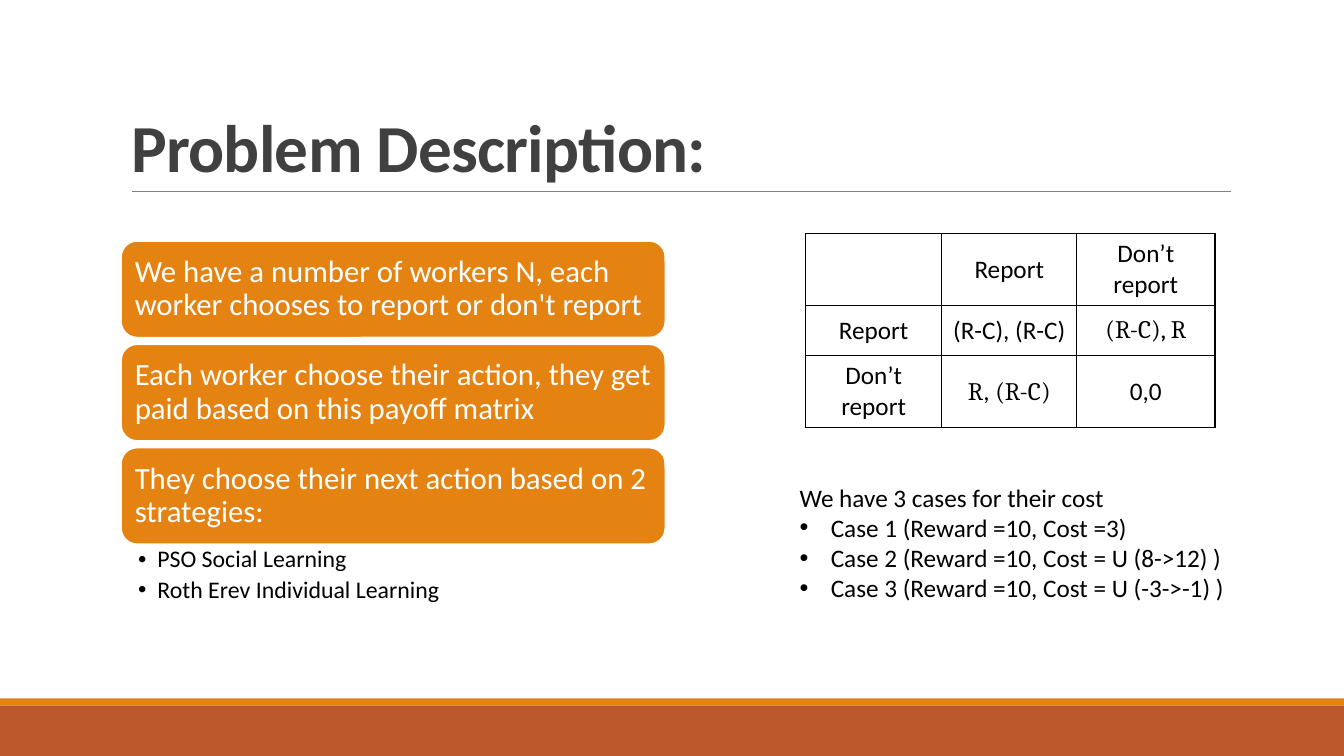
from lxml.etree import SubElement
from pptx import Presentation
from pptx.dml.color import RGBColor
from pptx.enum.shapes import MSO_CONNECTOR as Connector, MSO_SHAPE as Shape
from pptx.enum.text import MSO_ANCHOR as Anchor, MSO_AUTO_SIZE as AutoSize, PP_ALIGN as Align
from pptx.oxml.ns import qn
from pptx.util import Inches, Pt

ORANGE, RUST, BLACK, WHITE = "E48312", "BD582C", "000000", "FFFFFF"
STATEMENTS = [
    "We have a number of workers N, each worker chooses to report or don't report",
    "Each worker choose their action, they get paid based on this payoff matrix",
    "They choose their next action based on 2 strategies:",
]
STRATEGIES = ["PSO Social Learning", "Roth Erev Individual Learning"]
CASES = [
    "Case 1 (Reward =10, Cost =3)",
    "Case 2 (Reward =10, Cost = U (8->12) )",
    "Case 3 (Reward =10, Cost = U (-3->-1) )",
]
SANS, SERIF = "Calibri", "Cambria"
PAYOFFS = [
    [[], [("Report", SANS)], [("Don’t report", SANS)]],
    [[("Report", SANS)], [("(R-C), (R-C)", SANS)], [("(R-C), R", SERIF)]],
    [[("Don’t report", SANS)], [("R", SERIF), (", ", SANS), ("(R-C)", SERIF)], [("0,0", SANS)]],
]


def paint(target, color):
    """Give a fill a solid hex colour."""
    target.solid()
    target.fore_color.rgb = RGBColor.from_string(color)


def set_font(font, size, color, name=SANS):
    """Set the face, size and colour of a font."""
    font.name, font.size = name, Pt(size)
    font.color.rgb = RGBColor.from_string(color)


def place(shape, left, top, width, height):
    """Move and size a shape, in inches."""
    shape.left, shape.top = Inches(left), Inches(top)
    shape.width, shape.height = Inches(width), Inches(height)


def set_insets(frame, side, end):
    """Set the side and the top and bottom insets of a text frame."""
    frame.margin_left = frame.margin_right = Inches(side)
    frame.margin_top = frame.margin_bottom = Inches(end)


def set_bullet(para, indent):
    """Give a paragraph a hanging round bullet, or none when the indent is zero."""
    props = para._p.get_or_add_pPr()
    props.set("marL", str(Inches(indent)))
    props.set("indent", str(-Inches(indent)))
    if indent:
        SubElement(props, qn("a:buFont"), typeface="Arial")
        SubElement(props, qn("a:buChar"), char="•")
    else:
        SubElement(props, qn("a:buNone"))


def add_block(page, kind, color, left, top, width, height):
    """Add a filled shape without a shadow or an outline."""
    block = page.shapes.add_shape(kind, Inches(left), Inches(top), Inches(width), Inches(height))
    block.shadow.inherit = False
    paint(block.fill, color)
    block.line.fill.background()
    return block


def add_footer_bars(page, top, width):
    """Draw the thin and the thick bar along the bottom."""
    add_block(page, Shape.RECTANGLE, ORANGE, 0, top, width, 0.07)
    add_block(page, Shape.RECTANGLE, RUST, 0, top + 0.07, width, 0.5)


def add_heading(page, left, top, width, height):
    """Fill the title and rule a line under it."""
    title = page.shapes.title
    place(title, left, top, width, height)
    frame = title.text_frame
    frame.text = "Problem Description:"
    frame.vertical_anchor = Anchor.BOTTOM
    frame.auto_size = AutoSize.NONE
    para = frame.paragraphs[0]
    para.alignment, para.line_spacing = Align.LEFT, 0.85
    set_font(para.font, 48, "404040")
    para.font.bold = True
    para.runs[0].font._element.set("spc", "-50")
    base = Inches(top + height)
    rule = page.shapes.add_connector(
        Connector.STRAIGHT, Inches(left + 0.11), base, Inches(left + 11.01), base)
    paint(rule.line.fill, "808080")
    rule.line.width = Pt(0.5)
    SubElement(rule._element.spPr, qn("a:effectLst"))


def fill_list(body, items, size, box):
    """Fill a body placeholder with (text, indent) items and return its paragraphs."""
    place(body, *box)
    frame = body.text_frame
    frame.text = "\n".join(text for text, indent in items)
    frame.auto_size = AutoSize.NONE
    for para, (text, indent) in zip(frame.paragraphs, items):
        para.space_before = Pt(0)
        set_font(para.font, size, BLACK)
        set_bullet(para, indent)
    return frame.paragraphs


def add_statements(page, body, left, top, width):
    """Stack the statement cards with the strategies listed under the last."""
    height, pitch = 0.96, 1.025
    for index, text in enumerate(STATEMENTS):
        card = add_block(page, Shape.ROUNDED_RECTANGLE, ORANGE,
                         left, top + index * pitch, width, height)
        paint(card.line.fill, WHITE)
        card.line.width = Pt(1.25)
        frame = card.text_frame
        frame.text, frame.word_wrap = text, True
        frame.vertical_anchor = Anchor.MIDDLE
        set_insets(frame, 0.09, 0.09)
        para = frame.paragraphs[0]
        para.alignment, para.line_spacing = Align.LEFT, 0.9
        set_font(para.font, 22, WHITE)
    list_top = top + (len(STATEMENTS) - 1) * pitch + height
    items = [(text, 0.19) for text in STRATEGIES]
    for para in fill_list(body, items, 17, (left, list_top, width, 0.65)):
        para.line_spacing, para.space_after = 0.9, Pt(3.4)
    set_insets(body.text_frame, 0.17, 0.03)


def add_border(cell):
    """Outline a table cell in black."""
    props = cell._tc.get_or_add_tcPr()
    for side in ("lnL", "lnR", "lnT", "lnB"):
        edge = SubElement(props, qn(f"a:{side}"), w=str(Pt(1)))
        SubElement(SubElement(edge, qn("a:solidFill")), qn("a:srgbClr"), val=BLACK)


def add_payoffs(page, left, top):
    """Draw the payoff matrix."""
    widths, heights = [1.35, 1.34, 1.37], [0.71, 0.5, 0.71]
    table = page.shapes.add_table(
        len(heights), len(widths), Inches(left), Inches(top),
        Inches(sum(widths)), Inches(sum(heights))).table
    for column, width in zip(table.columns, widths):
        column.width = Inches(width)
    for row, height, payoffs in zip(table.rows, heights, PAYOFFS):
        row.height = Inches(height)
        for cell, spans in zip(row.cells, payoffs):
            add_border(cell)
            paint(cell.fill, WHITE)
            cell.vertical_anchor = Anchor.MIDDLE
            para = cell.text_frame.paragraphs[0]
            para.alignment = Align.CENTER
            for text, name in spans:
                span = para.add_run()
                span.text = text
                set_font(span.font, 18, BLACK, name)
                span.font.bold = False


def add_cases(body, *box):
    """List the cost cases under their lead line."""
    items = [("We have 3 cases for their cost", 0)] + [(text, 0.31) for text in CASES]
    for para in fill_list(body, items, 18, box):
        para.alignment = Align.JUSTIFY


def main():
    """Build and save the deck."""
    deck = Presentation()
    deck.slide_width, deck.slide_height = Inches(13.33), Inches(7.5)
    page = deck.slides.add_slide(deck.slide_layouts[3])
    strategies, cases = page.placeholders[1], page.placeholders[2]
    add_footer_bars(page, 6.93, 13.33)
    add_heading(page, 1.2, 0.31, 11, 1.59)
    add_statements(page, strategies, 1.2, 2.39, 5.4)
    add_payoffs(page, 7.99, 2.32)
    add_cases(cases, 7.83, 4.73, 5.5, 1.62)
    deck.save("out.pptx")


if __name__ == "__main__":
    main()
